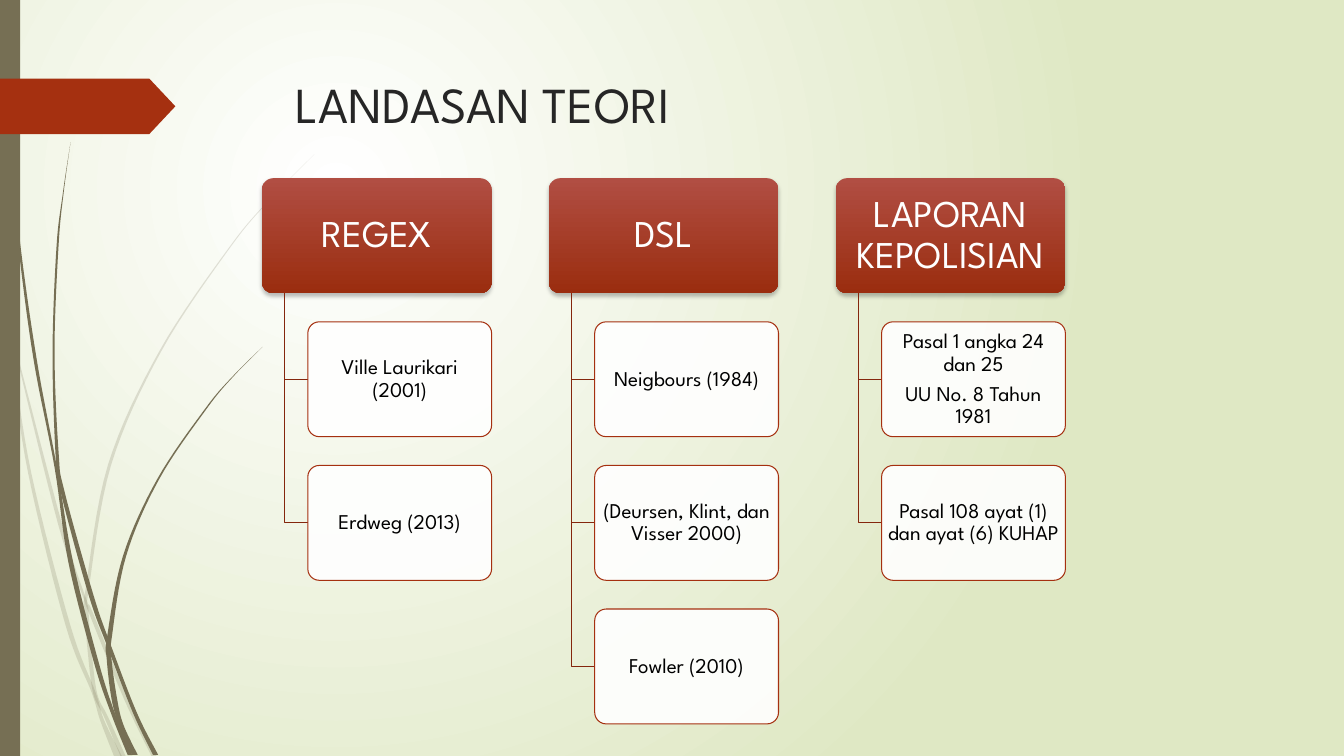
from dataclasses import dataclass

from lxml import etree
from pptx import Presentation
from pptx.dml.color import RGBColor
from pptx.enum.shapes import MSO_SHAPE
from pptx.enum.text import MSO_ANCHOR, PP_ALIGN
from pptx.oxml.ns import qn
from pptx.util import Cm, Pt

BAR, TAG, ROUND = MSO_SHAPE.RECTANGLE, MSO_SHAPE.PENTAGON, MSO_SHAPE.ROUNDED_RECTANGLE
MIDDLE, CENTER = MSO_ANCHOR.MIDDLE, PP_ALIGN.CENTER


@dataclass(frozen=True)
class Theme:
    """Colours, font and type sizes of the slide."""
    font: str = "League Spartan"
    title: int = 36
    head: int = 27
    leaf: int = 15
    ink: str = "262626"
    black: str = "000000"
    white: str = "FFFFFF"
    mist: str = "DFE8C4"
    olive: str = "766F54"
    rust: str = "A53010"
    stem: str = "84260D"
    glow: str = "B14E43"
    deep: str = "9A2D0F"


THEME = Theme()

# Column heads with their leaves; a leaf is a list of paragraphs
TOPICS = [
    ("REGEX", [["Ville Laurikari (2001)"], ["Erdweg (2013)"]]),
    ("DSL", [["Neigbours (1984)"], ["(Deursen, Klint, dan Visser 2000)"],
             ["Fowler (2010)"]]),
    ("LAPORAN KEPOLISIAN", [["Pasal 1 angka 24 dan 25", "UU No. 8 Tahun 1981"],
                            ["Pasal 108 ayat (1) dan ayat (6) KUHAP"]]),
]

# Grass blades in cm: x and y of the middle line, then the width
PALE = [
    [(0.02, 7.38, 0.03), (0.28, 8.89, 0.05), (0.75, 11.93, 0.08), (1.71, 15.75, 0.12),
     (2.36, 17.45, 0.1), (2.57, 18.14, 0.1), (2.97, 19.05, 0.2)],
    [(0.38, 8.76, 0.03), (1.52, 13.23, 0.1), (2.13, 15.06, 0.06), (2.29, 15.44, 0.1),
     (3.17, 17.6, 0.1), (3.88, 19.05, 0.13)],
    [(7.92, 3.89, 0), (6.81, 5.02, 0.02), (5.8, 6.22, 0.03), (4.04, 8.85, 0.05),
     (2.76, 11.72, 0.08), (2.2, 14.83, 0.08), (2.18, 15.37, 0.1), (2.26, 16.41, 0.1),
     (2.4, 17.48, 0.1), (2.67, 18.06, 0.1), (3.1, 19.05, 0.13)],
]
DARK = [
    [(0.09, 0, 0.02), (0.19, 2.79, 0.03), (0.46, 5.92, 0.05), (0.88, 9.02, 0.08),
     (1.41, 11.8, 0.06), (1.78, 14.15, 0.12), (2.43, 16.7, 0.12), (2.85, 17.98, 0.1),
     (3.28, 19.03, 0.12)],
    [(1.78, 3.58, 0), (1.59, 4.9, 0.02), (1.45, 6.22, 0.05), (1.35, 8.86, 0.05),
     (1.44, 11.43, 0.08), (1.58, 12.4, 0.1), (2.3, 15.01, 0.12), (2.76, 16.3, 0.1),
     (3.4, 17.96, 0.1), (3.92, 19.02, 0.13)],
    [(6.62, 8.74, 0), (5.87, 9.49, 0.02), (5.19, 10.3, 0.04), (3.99, 12.07, 0.05),
     (3.14, 14.01, 0.08), (2.76, 16.05, 0.12), (2.75, 16.6, 0.12), (2.88, 17.6, 0.14),
     (3.05, 18.26, 0.12), (3.4, 19.02, 0.14)],
]


def rgb(code):
    """Turn a hex code into a colour."""
    return RGBColor.from_string(code)


def blend(fill, start, end):
    """Give a fill two gradient stops."""
    fill.gradient()
    for stop, code in zip(fill.gradient_stops, (start, end)):
        stop.color.rgb = rgb(code)


def paint(shape, fill=None, line=None, alpha=100):
    """Set a flat fill, a thin line and no shadow."""
    shape.shadow.inherit = False
    if fill:
        shape.fill.solid()
        shape.fill.fore_color.rgb = rgb(fill)
        if alpha < 100:
            color = shape.element.spPr.find(qn("a:solidFill"))[0]
            etree.SubElement(color, qn("a:alpha"), val=str(alpha * 1000))
    else:
        shape.fill.background()
    if line:
        shape.line.color.rgb = rgb(line)
        shape.line.width = Pt(0.75)
    else:
        shape.line.fill.background()


def shade(shape):
    """Drop a soft shadow straight down."""
    effects = shape.element.spPr.find(qn("a:effectLst"))
    drop = etree.SubElement(effects, qn("a:outerShdw"), blurRad=str(Pt(3)),
                            dist=str(Pt(2)), dir="5400000", rotWithShape="0")
    color = etree.SubElement(drop, qn("a:srgbClr"), val=THEME.black)
    etree.SubElement(color, qn("a:alpha"), val="25000")


def style(part, size, color):
    """Format all runs of a paragraph."""
    for run in part.runs:
        run.font.name = THEME.font
        run.font.size = Pt(size)
        run.font.color.rgb = rgb(color)


def label(shape, lines, size, color, pad):
    """Write centred paragraphs into a card."""
    frame = shape.text_frame
    frame.word_wrap = True
    frame.vertical_anchor = MIDDLE
    frame.margin_left = frame.margin_right = Cm(pad)
    frame.margin_top = frame.margin_bottom = Cm(pad / 1.5)
    frame.text = "\n".join(lines)
    for part in frame.paragraphs:
        part.alignment = CENTER
        part.line_spacing = 0.9
        part.space_after = Pt(size * 0.35)
        style(part, size, color)


def trace(slide, points, close):
    """Draw straight segments through points in cm."""
    spots = [(Cm(x), Cm(y)) for x, y in points]
    form = slide.shapes.build_freeform(*spots[0])
    form.add_line_segments(spots[1:], close=close)
    return form.convert_to_shape()


def smooth(knots, steps=8):
    """Run a Catmull-Rom curve through the knots."""
    ends = [knots[0], *knots, knots[-1]]
    curve = []
    for quad in zip(ends, ends[1:], ends[2:], ends[3:]):
        for step in range(steps):
            t = step / steps
            curve.append(tuple(
                b + t * (c - a) / 2 + t * t * (a - 2.5 * b + 2 * c - d / 2)
                + t ** 3 * (1.5 * (b - c) + (d - a) / 2)
                for a, b, c, d in zip(*quad)))
    return curve + [knots[-1]]


def blade(slide, knots, alpha):
    """Draw one tapered blade of grass."""
    curve = smooth(knots)
    left = [(x - w / 2, y) for x, y, w in curve]
    right = [(x + w / 2, y) for x, y, w in reversed(curve)]
    paint(trace(slide, left + right, True), THEME.olive, alpha=alpha)


def block(slide, kind, x, y, wide, high):
    """Add a preset shape placed in cm."""
    return slide.shapes.add_shape(kind, Cm(x), Cm(y), Cm(wide), Cm(high))


def decor(slide):
    """Draw the backdrop, grass, side bar and tag."""
    blend(slide.background.fill, THEME.white, THEME.mist)
    lin = next(slide.element.iter(qn("a:lin")))
    ring = etree.Element(qn("a:path"))
    ring.set("path", "circle")
    etree.SubElement(ring, qn("a:fillToRect"), l="50000", t="50000", r="100000", b="100000")
    lin.getparent().replace(lin, ring)
    for blades, alpha in ((PALE, 20), (DARK, 100)):
        for knots in blades:
            blade(slide, knots, alpha)
    paint(block(slide, BAR, 0, 0, 0.51, 19.05), THEME.olive)
    tag = block(slide, TAG, 0, 1.98, 4.42, 1.4)
    tag.adjustments[0] = 0.47
    paint(tag, THEME.rust)


def title(slide, text):
    """Add the slide title."""
    box = slide.shapes.add_textbox(Cm(7.21), Cm(1.73), Cm(24.77), Cm(3.56))
    box.text_frame.word_wrap = True
    box.text_frame.text = text
    style(box.text_frame.paragraphs[0], THEME.title, THEME.ink)


def column(slide, x, head, leaves, y=4.49, wide=5.79):
    """Draw a head card with its leaves hung below."""
    high = wide / 2
    card = block(slide, ROUND, x, y, wide, high)
    card.adjustments[0] = 0.1
    paint(card)
    blend(card.fill, THEME.glow, THEME.deep)
    card.fill.gradient_angle = 270
    shade(card)
    label(card, [head], THEME.head, THEME.white, 0.15)
    stem, edge = x + wide * 0.1, x + wide * 0.2
    for row, lines in enumerate(leaves, 1):
        top = y + row * high * 1.25
        mid = top + high / 2
        elbow = trace(slide, [(stem, y + high), (stem, mid), (edge, mid)], False)
        paint(elbow, line=THEME.stem)
        leaf = block(slide, ROUND, edge, top, wide * 0.8, high)
        leaf.adjustments[0] = 0.1
        paint(leaf, THEME.white, THEME.rust, 90)
        label(leaf, lines, THEME.leaf, THEME.black, 0.08)


def main():
    """Build and save the slide."""
    deck = Presentation()
    deck.slide_width, deck.slide_height = Cm(33.87), Cm(19.05)
    slide = deck.slides.add_slide(deck.slide_layouts[6])
    decor(slide)
    title(slide, "LANDASAN TEORI")
    for index, (head, leaves) in enumerate(TOPICS):
        column(slide, 6.6 + index * 7.23, head, leaves)
    deck.save("out.pptx")


main()
